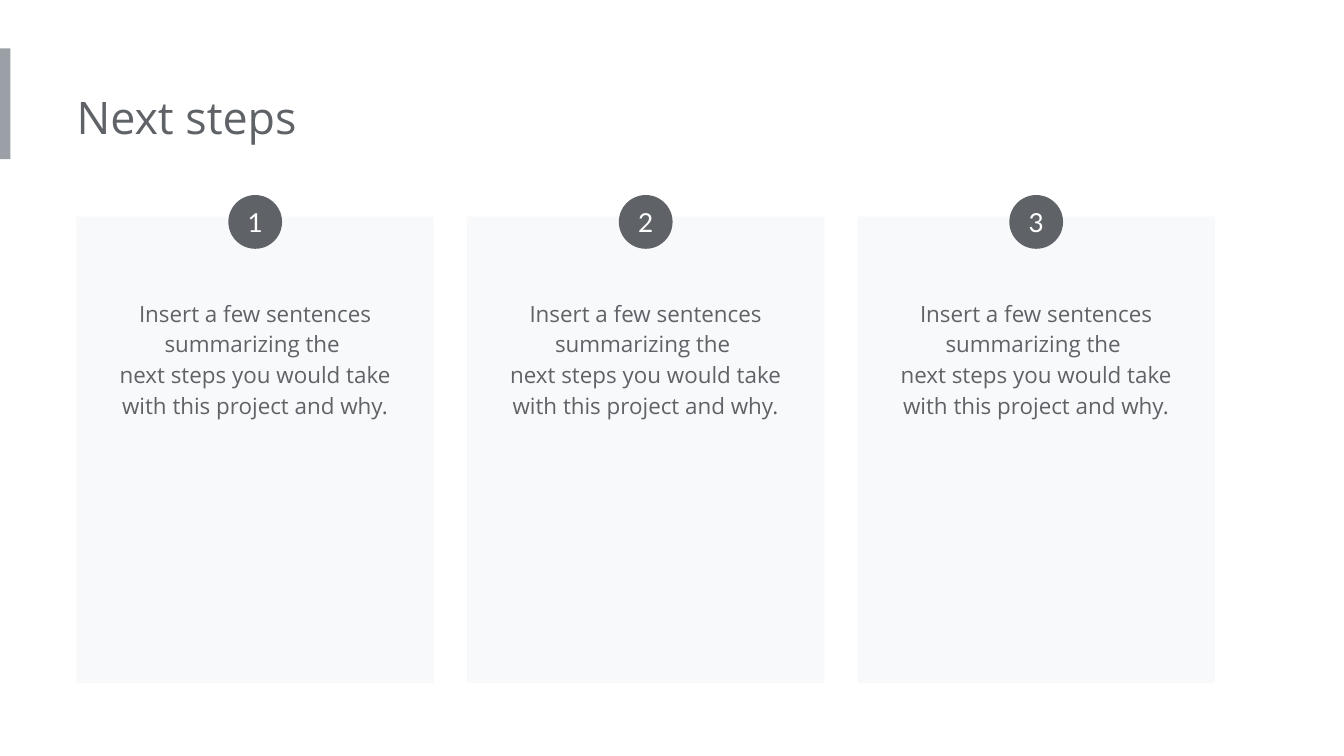
"""Build a "Next steps" slide with three numbered cards."""
import dataclasses
import typing

import pptx
import pptx.dml.color
import pptx.enum.shapes
import pptx.enum.text
import pptx.util

Pt = pptx.util.Pt
Color = pptx.dml.color.RGBColor
Shapes = pptx.enum.shapes.MSO_SHAPE
Align = pptx.enum.text.PP_ALIGN
Anchor = pptx.enum.text.MSO_ANCHOR
AutoSize = pptx.enum.text.MSO_AUTO_SIZE


@dataclasses.dataclass(frozen=True)
class TextStyle:
    """Font, size and colour of a run."""
    font: str
    size: float
    color: Color


@dataclasses.dataclass(frozen=True)
class Theme:
    """Colours and text styles of the slide."""
    accent: Color = Color(0x9A, 0xA0, 0xA6)
    card: Color = Color(0xF8, 0xF9, 0xFA)
    badge: Color = Color(0x5F, 0x63, 0x68)
    title: TextStyle = TextStyle("Open Sans", 24, Color(0x5F, 0x63, 0x68))
    body: TextStyle = TextStyle("Open Sans", 12, Color(0x5F, 0x63, 0x68))
    number: TextStyle = TextStyle("Lato", 14, Color(0xFF, 0xFF, 0xFF))


class Box(typing.NamedTuple):
    """Left, top, width and height in points."""
    left: float
    top: float
    width: float
    height: float

    def lengths(self) -> list:
        """Return the four measures as lengths."""
        return [Pt(value) for value in self]

    def centred(self, top: float, width: float, height: float) -> "Box":
        """Return a box on the same vertical axis."""
        return Box(self.left + (self.width - width) / 2, top, width, height)


@dataclasses.dataclass(frozen=True)
class Step:
    """Number and text lines of one card."""
    number: int
    lines: tuple


THEME = Theme()
SUMMARY = (
    "Insert a few sentences summarizing the ",
    "next steps you would take with this project and why.",
)
STEPS = [Step(number, SUMMARY) for number in (1, 2, 3)]
FIRST_CARD = Box(41, 116, 191.5, 250)
CARD_PITCH = 209.2


def set_margins(frame, left: float, other: float) -> None:
    """Set the insets of a text frame."""
    frame.margin_left = Pt(left)
    frame.margin_top = frame.margin_right = frame.margin_bottom = Pt(other)


def add_span(para, text: str, style: TextStyle) -> None:
    """Add one styled run to a paragraph."""
    span = para.add_run()
    span.text = text
    span.font.name = style.font
    span.font.size = Pt(style.size)
    span.font.color.rgb = style.color


def add_filled(page, kind, box: Box, color: Color):
    """Add a plain filled shape without outline."""
    shape = page.shapes.add_shape(kind, *box.lengths())
    shape.shadow.inherit = False
    shape.fill.solid()
    shape.fill.fore_color.rgb = color
    shape.line.fill.background()
    return shape


def add_title(page, text: str, box: Box) -> None:
    """Place and format the title placeholder."""
    title = page.shapes.title
    title.left, title.top, title.width, title.height = box.lengths()
    frame = title.text_frame
    frame.word_wrap = True
    frame.auto_size = AutoSize.SHAPE_TO_FIT_TEXT
    frame.vertical_anchor = Anchor.TOP
    set_margins(frame, 0, 7.2)
    para = frame.paragraphs[0]
    para.alignment = Align.LEFT
    add_span(para, text, THEME.title)


def add_badge(page, number: int, box: Box) -> None:
    """Add a circle with a centred number."""
    frame = add_filled(page, Shapes.OVAL, box, THEME.badge).text_frame
    frame.vertical_anchor = Anchor.MIDDLE
    set_margins(frame, 0, 0)
    para = frame.paragraphs[0]
    para.alignment = Align.CENTER
    add_span(para, str(number), THEME.number)


def add_body(page, lines: tuple, box: Box) -> None:
    """Add centred text with a line break between lines."""
    frame = page.shapes.add_textbox(*box.lengths()).text_frame
    frame.word_wrap = True
    frame.auto_size = AutoSize.SHAPE_TO_FIT_TEXT
    set_margins(frame, 7.2, 7.2)
    para = frame.paragraphs[0]
    para.alignment = Align.CENTER
    para.line_spacing = 1.15
    for index, line in enumerate(lines):
        if index:
            para.add_line_break()
        add_span(para, line, THEME.body)


def add_card(page, step: Step, box: Box) -> None:
    """Add a card with its badge and text."""
    add_filled(page, Shapes.RECTANGLE, box, THEME.card)
    add_badge(page, step.number, box.centred(104.5, 28.8, 28.8))
    add_body(page, step.lines, box.centred(151.2, 161.3, 79.2))


def main() -> None:
    """Build and save the deck."""
    deck = pptx.Presentation()
    deck.slide_width, deck.slide_height = Pt(720), Pt(405)
    page = deck.slides.add_slide(deck.slide_layouts.get_by_name("Title Only"))
    add_filled(page, Shapes.RECTANGLE, Box(0, 26, 5.6, 59.3), THEME.accent)
    add_title(page, "Next steps", Box(41, 41, 388, 44))
    for index, step in enumerate(STEPS):
        left = FIRST_CARD.left + index * CARD_PITCH
        add_card(page, step, FIRST_CARD._replace(left=left))
    deck.save("out.pptx")


if __name__ == "__main__":
    main()
